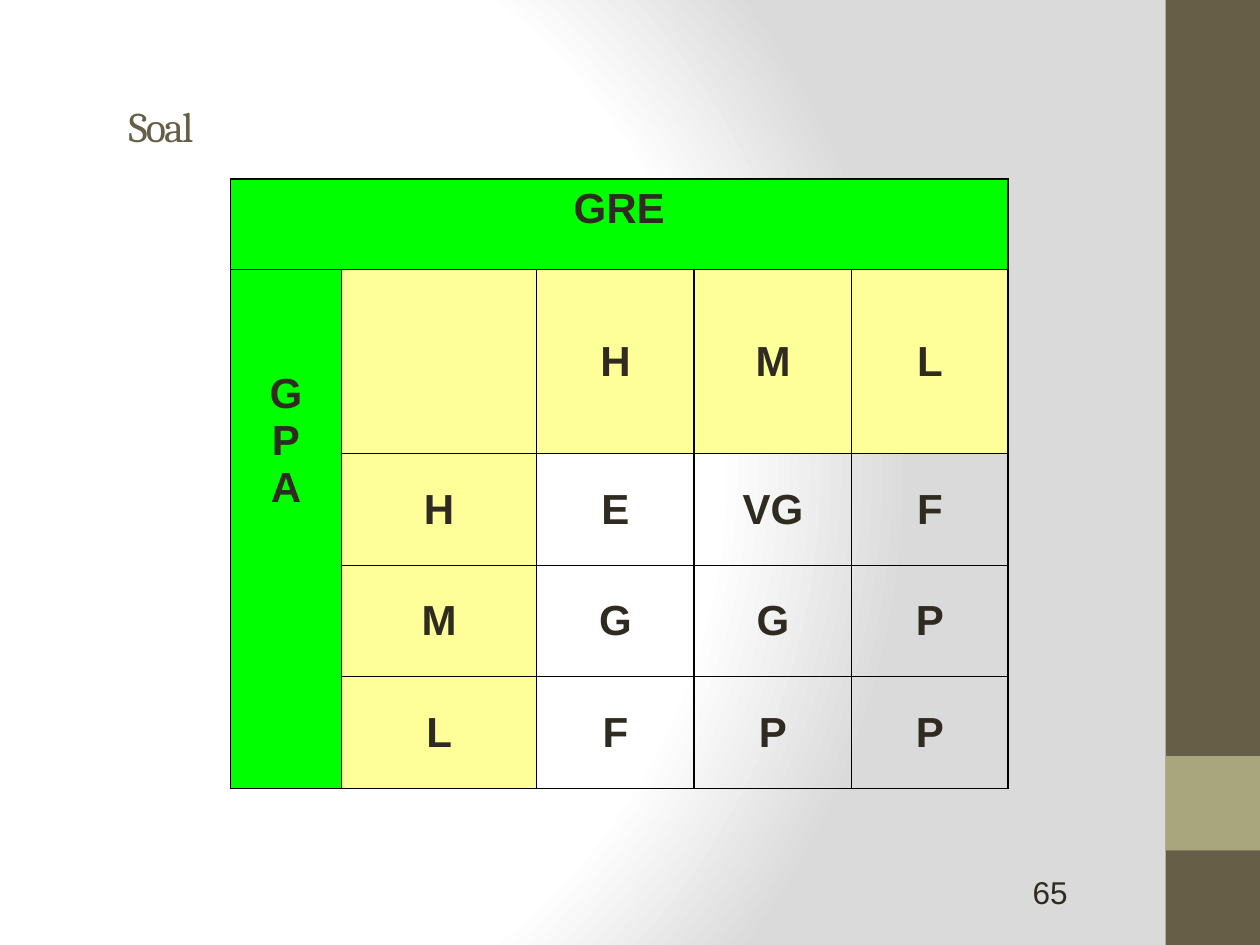
from lxml import etree
from pptx import Presentation
from pptx.dml.color import RGBColor
from pptx.enum.shapes import MSO_SHAPE
from pptx.enum.text import MSO_ANCHOR, PP_ALIGN
from pptx.oxml import parse_xml
from pptx.oxml.ns import qn
from pptx.util import Inches, Pt

RECT, BRACKETS = MSO_SHAPE.RECTANGLE, MSO_SHAPE.DOUBLE_BRACKET
TOP, MIDDLE, BOTTOM = MSO_ANCHOR.TOP, MSO_ANCHOR.MIDDLE, MSO_ANCHOR.BOTTOM
LEFT, CENTER = PP_ALIGN.LEFT, PP_ALIGN.CENTER

THEME = {
    "heading": "Cambria", "body": "Arial",
    "ink": "2F2B20", "brown": "675E47", "olive": "A9A57C",
    "green": "00FF00", "yellow": "FFFF99", "border": "000000",
    "large": 24, "small": 18,
}
BACKGROUND_STOPS = [(0, "FFFFFF"), (75, "FFFFFF"), (100, "DADADA")]

TITLE = "Soal"
PAGE = "65"
COLUMN_HEADING = "GRE"
ROW_HEADING = "GPA"
GRADES = [
    ["", "H", "M", "L"],
    ["H", "E", "VG", "F"],
    ["M", "G", "G", "P"],
    ["L", "F", "P", "P"],
]
COLUMN_WIDTHS = [0.88, 1.55, 1.25, 1.25, 1.24]
ROW_HEIGHTS = [0.72, 1.46, 0.89, 0.88, 0.89]
SIDE_BARS = [((9.25, 0, 0.75, 7.5), "brown"), ((9.25, 6, 0.75, 0.75), "olive")]


def color(name):
    return RGBColor.from_string(THEME[name])


def write(tf, lines, font="body", size="large", ink="ink", bold=False, align=CENTER):
    for i, line in enumerate(lines):
        p = tf.paragraphs[0] if i == 0 else tf.add_paragraph()
        p.alignment = align
        r = p.add_run()
        r.text = line
        r.font.name = THEME[font]
        r.font.size = Pt(THEME[size])
        r.font.bold = bold
        r.font.color.rgb = color(ink)


def add_shape(slide, kind, box, fill=None):
    sp = slide.shapes.add_shape(kind, *map(Inches, box))
    sp.shadow.inherit = False
    sp.line.fill.background()
    if fill:
        sp.fill.solid()
        sp.fill.fore_color.rgb = color(fill)
    else:
        sp.fill.background()
    return sp


def set_background(slide):
    stops = "".join(
        f'<a:gs pos="{pos * 1000}"><a:srgbClr val="{rgb}"/></a:gs>'
        for pos, rgb in BACKGROUND_STOPS)
    slide.element.cSld.insert(0, parse_xml(
        '<p:bg xmlns:p="http://schemas.openxmlformats.org/presentationml/2006/main"'
        ' xmlns:a="http://schemas.openxmlformats.org/drawingml/2006/main">'
        f'<p:bgPr><a:gradFill rotWithShape="1"><a:gsLst>{stops}</a:gsLst>'
        '<a:path path="circle">'
        '<a:fillToRect l="20000" t="50000" r="100000" b="50000"/></a:path>'
        '</a:gradFill><a:effectLst/></p:bgPr></p:bg>'))


def style_cell(cell, fill):
    tcPr = cell._tc.get_or_add_tcPr()
    for side in ("lnL", "lnR", "lnT", "lnB"):
        ln = etree.SubElement(tcPr, qn(f"a:{side}"), w=str(Pt(1)))
        solid = etree.SubElement(ln, qn("a:solidFill"))
        etree.SubElement(solid, qn("a:srgbClr"), val=THEME["border"])
    if fill:
        cell.fill.solid()
        cell.fill.fore_color.rgb = color(fill)
    else:
        cell.fill.background()


def cell_fill(row, col):
    if row == 0 or col == 0:
        return "green"
    return "yellow" if row == 1 or col == 1 else None


def add_grade_table(slide):
    rows, cols = len(ROW_HEIGHTS), len(COLUMN_WIDTHS)
    frame = slide.shapes.add_table(
        rows, cols, Inches(1.83), Inches(1.42),
        Inches(sum(COLUMN_WIDTHS)), Inches(sum(ROW_HEIGHTS)))
    table = frame.table
    table.first_row = table.horz_banding = False
    for column, width in zip(table.columns, COLUMN_WIDTHS):
        column.width = Inches(width)
    for row, height in zip(table.rows, ROW_HEIGHTS):
        row.height = Inches(height)
    for r in range(rows):
        for c in range(cols):
            style_cell(table.cell(r, c), cell_fill(r, c))

    across, down = table.cell(0, 0), table.cell(1, 0)
    across.merge(table.cell(0, cols - 1))
    down.merge(table.cell(rows - 1, 0))
    across.vertical_anchor = down.vertical_anchor = TOP
    down.margin_top = Inches(0.8)
    write(across.text_frame, [COLUMN_HEADING], bold=True)
    write(down.text_frame, ROW_HEADING, bold=True)

    for r, grades in enumerate(GRADES, 1):
        for c, grade in enumerate(grades, 1):
            if grade:
                cell = table.cell(r, c)
                cell.vertical_anchor = MIDDLE
                write(cell.text_frame, [grade], bold=True)


def add_title(slide):
    title = slide.shapes.title
    title.left, title.top, title.width, title.height = map(Inches, (0.92, 0.5, 8.5, 0.75))
    tf = title.text_frame
    tf.vertical_anchor = BOTTOM
    write(tf, [TITLE], font="heading", ink="brown", align=LEFT)
    tf.paragraphs[0].runs[0].font._element.set("spc", "-100")


def add_page_number(slide):
    tf = add_shape(slide, BRACKETS, (7.17, 6.83, 2.33, 0.5)).text_frame
    tf.margin_left = tf.margin_right = tf.margin_top = tf.margin_bottom = 0
    tf.vertical_anchor = MIDDLE
    write(tf, [PAGE], size="small")


def main():
    prs = Presentation()
    prs.slide_width, prs.slide_height = Inches(10), Inches(7.5)
    slide = prs.slides.add_slide(prs.slide_layouts[5])
    set_background(slide)
    for box, fill in SIDE_BARS:
        add_shape(slide, RECT, box, fill)
    add_title(slide)
    add_page_number(slide)
    add_grade_table(slide)
    prs.save("out.pptx")


if __name__ == "__main__":
    main()
